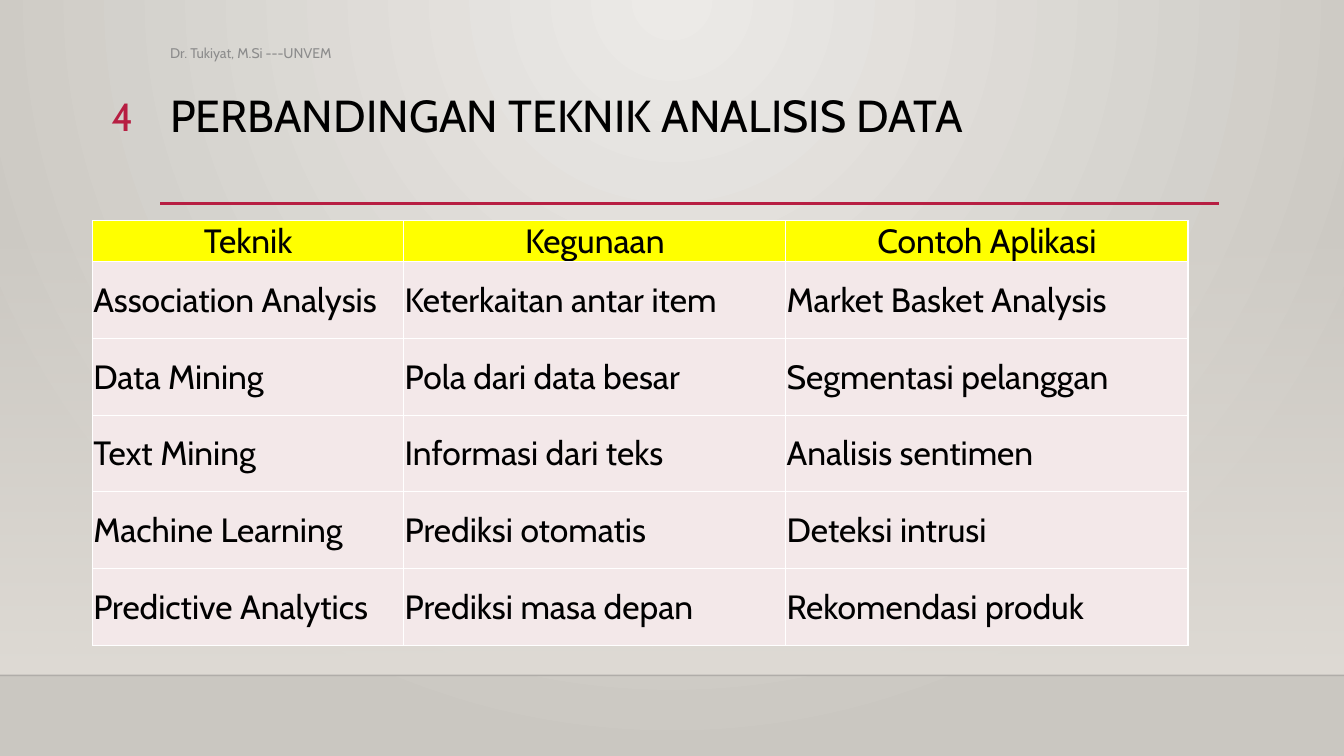
from lxml.etree import SubElement
from pptx import Presentation
from pptx.dml.color import RGBColor
from pptx.enum.shapes import MSO_CONNECTOR, MSO_SHAPE
from pptx.enum.text import MSO_ANCHOR, PP_ALIGN
from pptx.oxml.ns import qn
from pptx.util import Cm, Pt

FONT = "Cabin"
COLORS = {
    "text": "000000",
    "accent": "B71E42",
    "muted": "8C8C8C",
    "header": "FFFF00",
    "body": "F3E8E9",
    "border": "FFFFFF",
    "wall_light": "ECEAE7",
    "wall_dark": "CAC7C1",
    "haze": "DFDBD5",
    "floor_line": "000001",
}
WIDTH, HEIGHT = 33.87, 19.05
FLOOR = 17.02

TECHNIQUES = [
    ("Teknik", "Kegunaan", "Contoh Aplikasi"),
    ("Association Analysis", "Keterkaitan antar item", "Market Basket Analysis"),
    ("Data Mining", "Pola dari data besar", "Segmentasi pelanggan"),
    ("Text Mining", "Informasi dari teks", "Analisis sentimen"),
    ("Machine Learning", "Prediksi otomatis", "Deteksi intrusi"),
    ("Predictive Analytics", "Prediksi masa depan", "Rekomendasi produk"),
]
COLUMN_SHARES = (3.09, 3.79, 3.99)


def rgb(name):
    return RGBColor.from_string(COLORS[name])


def set_alpha(element, percent):
    color = next(element.iter(qn("a:srgbClr")))
    SubElement(color, qn("a:alpha"), val=str(percent * 1000))


def set_gradient(fill, start, end):
    fill.gradient()
    for stop, name, position in zip(fill.gradient_stops, (start, end), (0, 1)):
        stop.color.rgb = rgb(name)
        stop.position = position


def style_text(paragraph, size, color, align=PP_ALIGN.LEFT):
    paragraph.alignment = align
    paragraph.font.name = FONT
    paragraph.font.size = Pt(size)
    paragraph.font.bold = False
    paragraph.font.color.rgb = rgb(color)


def add_text(slide, box, text, size, color, align=PP_ALIGN.LEFT, anchor=MSO_ANCHOR.TOP):
    frame = slide.shapes.add_textbox(*map(Cm, box)).text_frame
    frame.word_wrap = True
    frame.vertical_anchor = anchor
    paragraph = frame.paragraphs[0]
    paragraph.text = text
    style_text(paragraph, size, color, align)
    return paragraph


def add_rule(slide, left, top, width, color, weight):
    rule = slide.shapes.add_connector(
        MSO_CONNECTOR.STRAIGHT, Cm(left), Cm(top), Cm(left + width), Cm(top))
    rule.line.color.rgb = rgb(color)
    rule.line.width = Pt(weight)
    SubElement(rule._element.spPr, qn("a:effectLst"))
    return rule


def add_backdrop(slide, box):
    """Radial wall, with a haze that thickens down to the floor line."""
    left, top, width, height = box
    set_gradient(slide.background.fill, "wall_light", "wall_dark")
    gradient = next(slide._element.iter(qn("a:gradFill")))
    gradient.remove(gradient.find(qn("a:lin")))
    circle = SubElement(gradient, qn("a:path"), path="circle")
    SubElement(circle, qn("a:fillToRect"), l="43000", t="0", r="43000", b="100000")

    haze = slide.shapes.add_shape(MSO_SHAPE.RECTANGLE, *map(Cm, box))
    haze.shadow.inherit = False
    haze.line.fill.background()
    set_gradient(haze.fill, "haze", "haze")
    haze.fill.gradient_angle = 270
    set_alpha(haze._element.spPr, 0)
    floor_line = add_rule(slide, left, top + height, width, "floor_line", 1)
    set_alpha(floor_line._element.spPr, 20)


def add_heading(slide, box, author, number, title):
    left, top, width, height = box
    add_text(slide, (left, top, 16.48, 0.86), author, 10, "muted", anchor=MSO_ANCHOR.MIDDLE)
    add_text(slide, (left - 2.69, top + 1.3, 2.26, 1.4), number, 28, "accent", PP_ALIGN.RIGHT)
    heading = add_text(slide, (left, top + 1.32, width, 2.92), title, 32, "text")
    heading.line_spacing = 0.9
    add_rule(slide, left, top + height, width, "accent", 2.5)


def add_borders(cell):
    properties = cell._tc.get_or_add_tcPr()
    for index, side in enumerate(("a:lnL", "a:lnR", "a:lnT", "a:lnB")):
        line = SubElement(properties, qn(side), w=str(Pt(1)))
        fill = SubElement(line, qn("a:solidFill"))
        SubElement(fill, qn("a:srgbClr"), val=COLORS["border"])
        properties.insert(index, line)


def add_comparison(slide, box, rows):
    width, height = box[2:]
    header_height = 0.97
    table = slide.shapes.add_table(len(rows), len(rows[0]), *map(Cm, box)).table
    table.first_row = table.horz_banding = False
    for column, share in zip(table.columns, COLUMN_SHARES):
        column.width = Cm(width * share / sum(COLUMN_SHARES))
    for index, row in enumerate(rows):
        is_header = index == 0
        table.rows[index].height = Cm(
            header_height if is_header else (height - header_height) / (len(rows) - 1))
        for cell, text in zip(table.rows[index].cells, row):
            cell.text = text
            cell.margin_left = cell.margin_right = cell.margin_top = Cm(0.02)
            cell.margin_bottom = 0
            cell.vertical_anchor = MSO_ANCHOR.MIDDLE
            cell.fill.solid()
            cell.fill.fore_color.rgb = rgb("header" if is_header else "body")
            add_borders(cell)
            style_text(cell.text_frame.paragraphs[0], 24, "text",
                       PP_ALIGN.CENTER if is_header else PP_ALIGN.LEFT)


def main():
    presentation = Presentation()
    presentation.slide_width, presentation.slide_height = Cm(WIDTH), Cm(HEIGHT)
    slide = presentation.slides.add_slide(presentation.slide_layouts[6])
    add_backdrop(slide, (0, 5.61, WIDTH, FLOOR - 5.61))
    add_heading(slide, (4.04, 0.91, 26.68, 4.22), "Dr. Tukiyat, M.Si ---UNVEM",
                "4", "PERBANDINGAN TEKNIK ANALISIS DATA")
    add_comparison(slide, (2.33, 5.56, 27.61, 10.63), TECHNIQUES)
    presentation.save("out.pptx")


if __name__ == "__main__":
    main()
